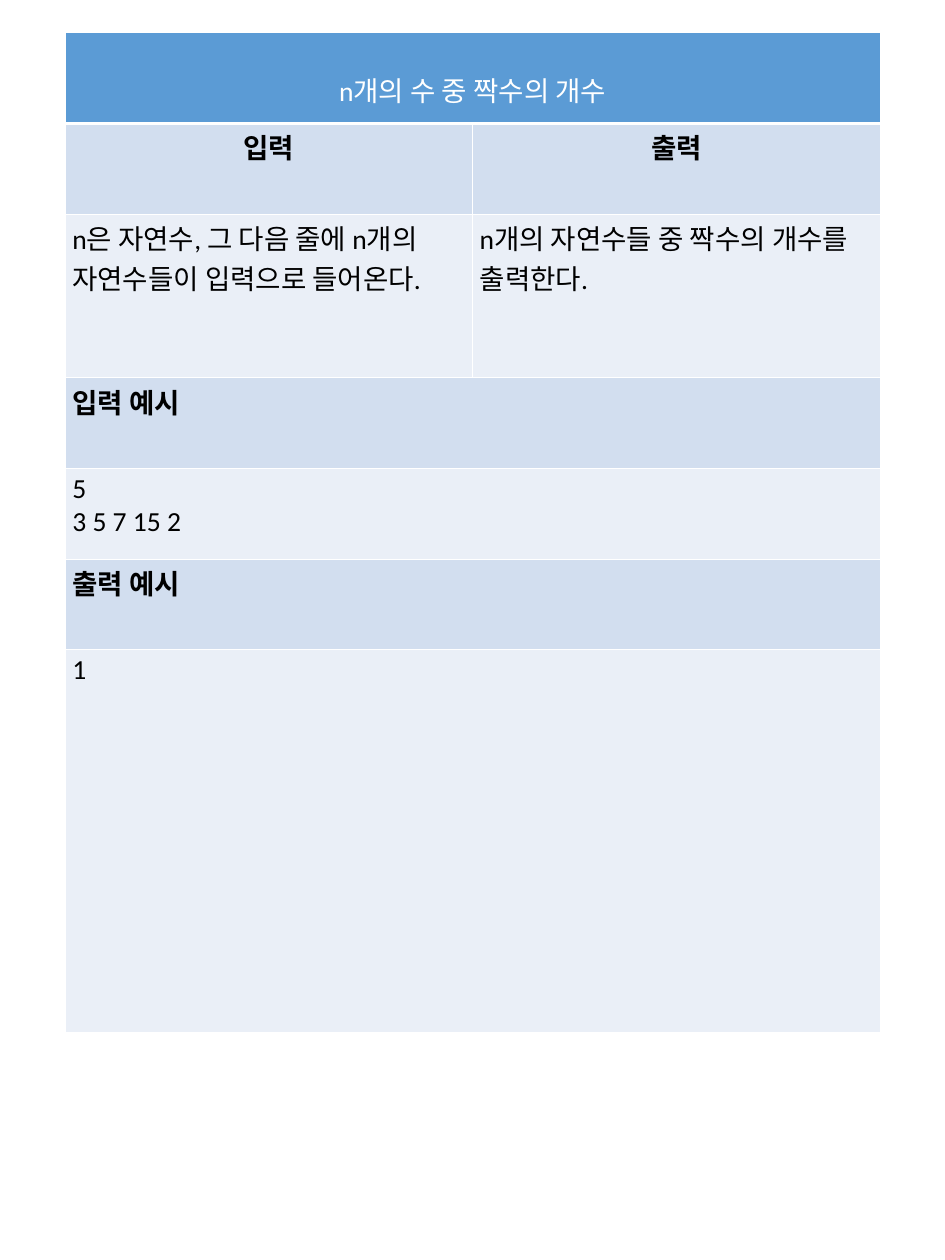
import pptx
import pptx.util
import pptx.dml.color
import pptx.enum.text
import pptx.oxml.ns
from lxml import etree

Cm, Pt = pptx.util.Cm, pptx.util.Pt
RGB = pptx.dml.color.RGBColor.from_string
ALIGN = pptx.enum.text.PP_ALIGN

COLORS = {
    "title": "5B9BD5",
    "heading": "D2DEEF",
    "body": "EAEFF7",
    "border": "FFFFFF",
    "title_text": "FFFFFF",
    "text": "000000",
}

PROBLEM = [
    ("title", 3.25, ["n개의 수 중 짝수의 개수"]),
    ("heading", 3.25, ["입력", "출력"]),
    ("body", 5.87, ["n은 자연수, 그 다음 줄에 n개의 자연수들이 입력으로 들어온다.",
                    "n개의 자연수들 중 짝수의 개수를 출력한다."]),
    ("heading", 3.25, ["입력 예시"]),
    ("body", 3.25, ["5 \n3 5 7 15 2"]),
    ("heading", 3.25, ["출력 예시"]),
    ("body", 13.7, ["1"]),
]
COLUMN_COUNT = 2
COLUMN_WIDTH = 14.6
LEFT, TOP = 2.34, 1.17
TITLE_TOP_MARGIN = 1.32


def add_borders(cell, top, bottom):
    properties = cell._tc.get_or_add_tcPr()
    for side, width in (("L", 1), ("R", 1), ("T", top), ("B", bottom)):
        line = etree.SubElement(properties, pptx.oxml.ns.qn("a:ln" + side), w=str(Pt(width)))
        fill = etree.SubElement(line, pptx.oxml.ns.qn("a:solidFill"))
        etree.SubElement(fill, pptx.oxml.ns.qn("a:srgbClr"), val=COLORS["border"])


def format_text(cell, kind, text, centered):
    cell.text = text
    for paragraph in cell.text_frame.paragraphs:
        paragraph.alignment = ALIGN.CENTER if centered else ALIGN.LEFT
        font = paragraph.font
        font.name = "Calibri"
        font.size = Pt(28)
        font.bold = kind == "heading"
        font.color.rgb = RGB(COLORS["title_text" if kind == "title" else "text"])


presentation = pptx.Presentation()
presentation.slide_width = Cm(33.87)
presentation.slide_height = Cm(45.16)
slide = presentation.slides.add_slide(presentation.slide_layouts[6])

total_height = sum(height for _, height, _ in PROBLEM)
problem_table = slide.shapes.add_table(
    len(PROBLEM), COLUMN_COUNT, Cm(LEFT), Cm(TOP),
    Cm(COLUMN_COUNT * COLUMN_WIDTH), Cm(total_height)).table
for column in problem_table.columns:
    column.width = Cm(COLUMN_WIDTH)

for index, (kind, height, texts) in enumerate(PROBLEM):
    row = problem_table.rows[index]
    row.height = Cm(height)
    for cell in row.cells:
        add_borders(cell, 3 if index == 1 else 1, 3 if index == 0 else 1)
        cell.fill.solid()
        cell.fill.fore_color.rgb = RGB(COLORS[kind])
    if len(texts) == 1:
        row.cells[0].merge(row.cells[COLUMN_COUNT - 1])
    centered = kind == "title" or (kind == "heading" and len(texts) > 1)
    for cell, text in zip(row.cells, texts):
        format_text(cell, kind, text, centered)

problem_table.cell(0, 0).margin_top = Cm(TITLE_TOP_MARGIN)

presentation.save("out.pptx")
